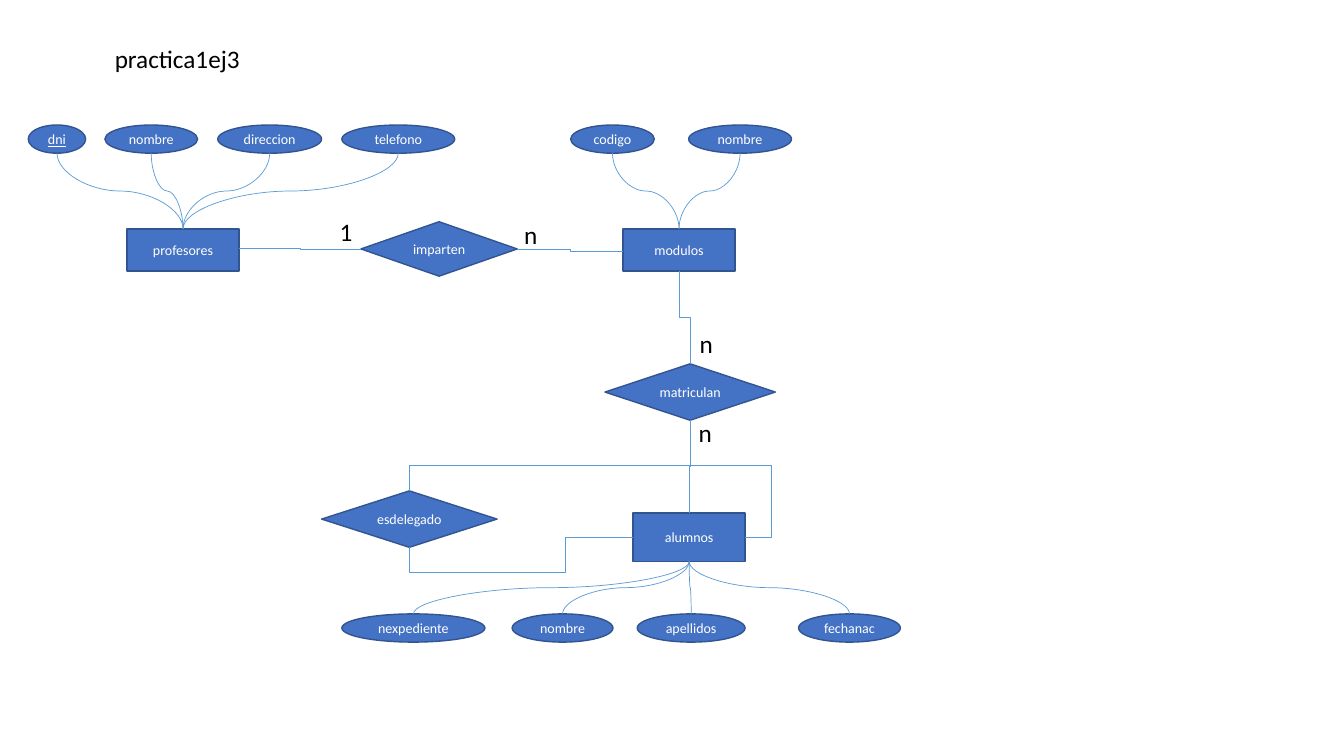
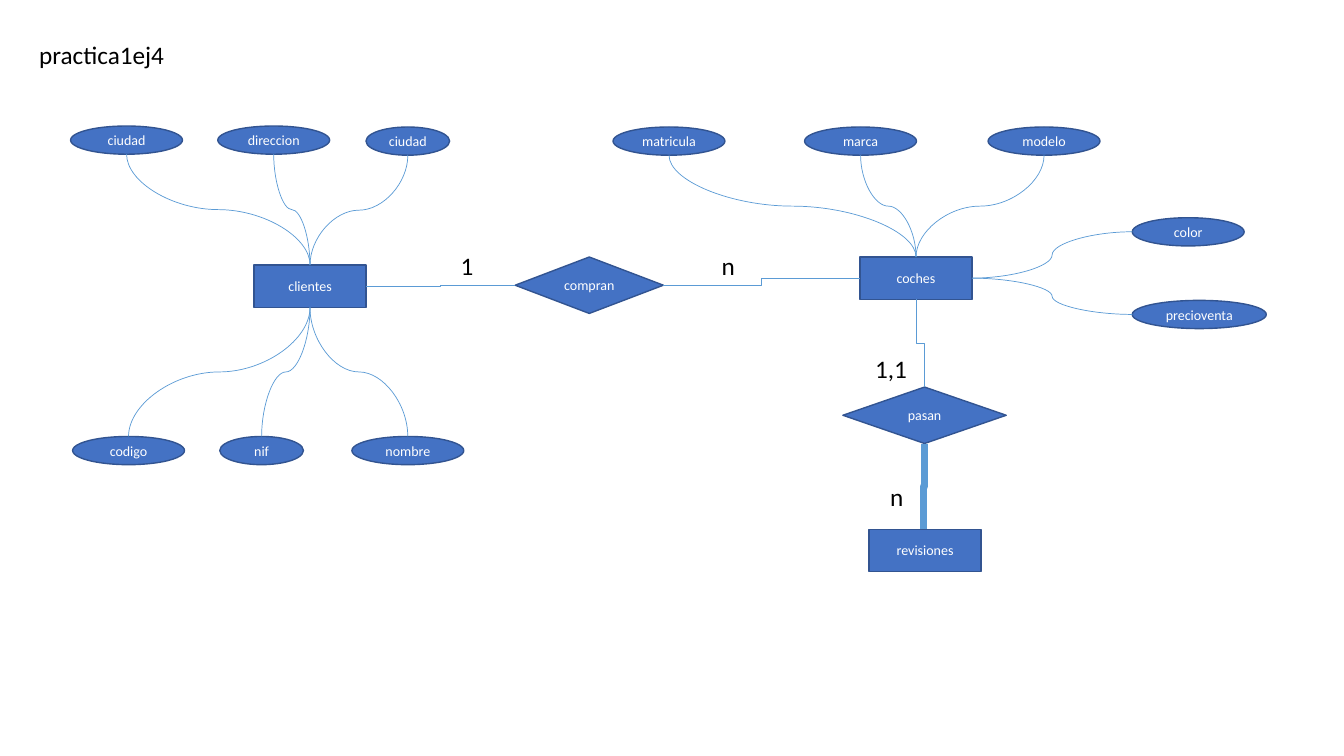
from dataclasses import dataclass
from enum import Enum

from lxml import etree
from pptx import Presentation
from pptx import util as u
from pptx.dml import color
from pptx.enum import shapes, text
from pptx.oxml import ns


# Shared look
@dataclass(frozen=True)
class Theme:
    fill: color.RGBColor = color.RGBColor(0x44, 0x72, 0xC4)
    outline: color.RGBColor = color.RGBColor(0x32, 0x54, 0x91)
    link: color.RGBColor = color.RGBColor(0x5B, 0x9B, 0xD5)
    node_text: color.RGBColor = color.RGBColor(0xFF, 0xFF, 0xFF)
    label_text: color.RGBColor = color.RGBColor(0x00, 0x00, 0x00)
    font: str = "Calibri"
    node_size: int = 10
    label_size: int = 18
    outline_width: float = 1
    link_width: float = 0.5


THEME = Theme()
Point = tuple[float, float]


class Side(Enum):
    TOP = (0.5, 0)
    BOTTOM = (0.5, 1)
    LEFT = (0, 0.5)
    RIGHT = (1, 0.5)

    @property
    def vertical(self) -> bool:
        return self in (Side.TOP, Side.BOTTOM)

    @property
    def opposite(self) -> "Side":
        across, down = self.value
        return Side((1 - across, 1 - down))


# Parts of an entity-relationship diagram
@dataclass(frozen=True)
class Node:
    name: str
    left: float
    top: float
    width: float = 1.11
    height: float = 0.28
    kind: shapes.MSO_SHAPE = shapes.MSO_SHAPE.OVAL
    key: bool = False

    def anchor(self, side: Side) -> Point:
        across, down = side.value
        return self.left + across * self.width, self.top + down * self.height


def entity(name: str, left: float, top: float, height: float = 0.42) -> Node:
    return Node(name, left, top, height=height, kind=shapes.MSO_SHAPE.RECTANGLE)


def relationship(name: str, left: float, top: float, width: float, height: float = 0.56) -> Node:
    return Node(name, left, top, width, height, shapes.MSO_SHAPE.DIAMOND)


@dataclass(frozen=True)
class Attributes:
    owner: Node
    side: Side
    nodes: tuple[Node, ...]


@dataclass(frozen=True)
class Link:
    start: Node
    start_side: Side
    end: Node
    end_side: Side
    shift: float = 0  # moves the end along its side
    width: float = THEME.link_width
    via: Point | None = None  # x and y of the outer corner of a loop


@dataclass(frozen=True)
class Label:
    content: str
    left: float
    top: float
    width: float = 0.34


@dataclass(frozen=True)
class Diagram:
    labels: tuple[Label, ...]
    nodes: tuple[Node, ...]
    attributes: tuple[Attributes, ...]
    links: tuple[Link, ...]


# Drawing
def write(shape, content: str, size: int, ink: color.RGBColor):
    shape.text_frame.word_wrap = False
    paragraph = shape.text_frame.paragraphs[0]
    paragraph.text = content
    paragraph.font.name = THEME.font
    paragraph.font.size = u.Pt(size)
    paragraph.font.color.rgb = ink
    return paragraph


def draw_node(slide, node: Node) -> None:
    box = (u.Inches(n) for n in (node.left, node.top, node.width, node.height))
    shape = slide.shapes.add_shape(node.kind, *box)
    shape.shadow.inherit = False
    shape.fill.solid()
    shape.fill.fore_color.rgb = THEME.fill
    shape.line.color.rgb = THEME.outline
    shape.line.width = u.Pt(THEME.outline_width)
    shape.text_frame.vertical_anchor = text.MSO_ANCHOR.MIDDLE
    paragraph = write(shape, node.name, THEME.node_size, THEME.node_text)
    paragraph.alignment = text.PP_ALIGN.CENTER
    if node.key:
        paragraph.font.underline = True


def draw_label(slide, label: Label) -> None:
    box = (u.Inches(n) for n in (label.left, label.top, label.width, 0.4))
    shape = slide.shapes.add_textbox(*box)
    write(shape, label.content, THEME.label_size, THEME.label_text)
    shape.text_frame.auto_size = text.MSO_AUTO_SIZE.SHAPE_TO_FIT_TEXT


def draw_connector(slide, kind: shapes.MSO_CONNECTOR, start: Point, end: Point, vertical: bool,
                   width: float = THEME.link_width, via: Point | None = None) -> None:
    if via is None:
        start, end = sorted((start, end), key=lambda point: point[1 if vertical else 0])
    (x1, y1), (x2, y2) = start, end
    turn = 0
    if vertical:
        # A connector leaves sideways, so lay it flat and turn it about its centre
        turn = 270 if x2 > x1 and y2 > y1 else 90
        sign = 1 if turn == 90 else -1
        centre_x, centre_y = (x1 + x2) / 2, (y1 + y2) / 2
        half_x, half_y = sign * (y2 - y1) / 2, sign * (x1 - x2) / 2
        x1, x2 = centre_x - half_x, centre_x + half_x
        y1, y2 = centre_y - half_y, centre_y + half_y
    connector = slide.shapes.add_connector(kind, *(u.Inches(n) for n in (x1, y1, x2, y2)))
    connector.line.color.rgb = THEME.link
    connector.line.width = u.Pt(width)
    properties = connector.element.spPr
    etree.SubElement(properties, ns.qn("a:effectLst"))
    if turn:
        properties.find(ns.qn("a:xfrm")).set("rot", str(turn * 60000))
    if via:
        geometry = properties.find(ns.qn("a:prstGeom"))
        geometry.set("prst", "bentConnector4")
        guides = geometry.find(ns.qn("a:avLst"))
        ratios = ((via[1] - start[1]) / (end[1] - start[1]),
                  (via[0] - start[0]) / (end[0] - start[0]))
        for number, ratio in enumerate(ratios, 1):
            etree.SubElement(guides, ns.qn("a:gd"), name=f"adj{number}",
                             fmla=f"val {round(ratio * 100000)}")


def draw_link(slide, link: Link) -> None:
    x, y = link.end.anchor(link.end_side)
    vertical = link.start_side.vertical
    end = (x + link.shift, y) if vertical else (x, y + link.shift)
    draw_connector(slide, shapes.MSO_CONNECTOR.ELBOW, link.start.anchor(link.start_side),
                   end, vertical, link.width, link.via)


def draw_attributes(slide, group: Attributes) -> None:
    for node in group.nodes:
        draw_node(slide, node)
        draw_connector(slide, shapes.MSO_CONNECTOR.CURVE, group.owner.anchor(group.side),
                       node.anchor(group.side.opposite), group.side.vertical)


def draw_diagram(presentation, diagram: Diagram) -> None:
    slide = presentation.slides.add_slide(presentation.slide_layouts[6])
    for node in diagram.nodes:
        draw_node(slide, node)
    for group in diagram.attributes:
        draw_attributes(slide, group)
    for link in diagram.links:
        draw_link(slide, link)
    for label in diagram.labels:
        draw_label(slide, label)


# School: teachers, modules and students
def school() -> Diagram:
    profesores = entity("profesores", 1.26, 2.27)
    modulos = entity("modulos", 6.18, 2.27)
    alumnos = entity("alumnos", 6.28, 5.09, 0.48)
    imparten = relationship("imparten", 3.58, 2.2, 1.55, 0.54)
    matriculan = relationship("matriculan", 6, 3.61, 1.69)
    esdelegado = relationship("esdelegado", 3.19, 4.87, 1.74)
    return Diagram(
        labels=(Label("practica1ej3", 1.04, 0.38, 1.46), Label("1", 3.27, 2.1),
                Label("n", 5.1, 2.13), Label("n", 6.84, 3.21), Label("n", 6.83, 4.09)),
        nodes=(profesores, modulos, alumnos, imparten, matriculan, esdelegado),
        attributes=(
            Attributes(profesores, Side.TOP, (
                Node("dni", 0.28, 1.24, 0.57, key=True), Node("nombre", 1.04, 1.24, 0.92),
                Node("direccion", 2.16, 1.24, 1.03), Node("telefono", 3.39, 1.24, 1.12))),
            Attributes(modulos, Side.TOP, (
                Node("codigo", 5.66, 1.24, 0.83), Node("nombre", 6.83, 1.24, 1.02))),
            Attributes(alumnos, Side.BOTTOM, (
                Node("nexpediente", 3.39, 6.09, 1.42), Node("nombre", 5.08, 6.09, 1),
                Node("apellidos", 6.32, 6.09, 1.07), Node("fechanac", 7.92, 6.09, 1.01))),
        ),
        links=(
            Link(imparten, Side.LEFT, profesores, Side.RIGHT, shift=-0.02),
            Link(imparten, Side.RIGHT, modulos, Side.LEFT, shift=0.01),
            Link(modulos, Side.BOTTOM, matriculan, Side.TOP),
            Link(matriculan, Side.BOTTOM, alumnos, Side.TOP),
            Link(esdelegado, Side.BOTTOM, alumnos, Side.LEFT, via=(5.61, 5.68)),
            Link(esdelegado, Side.TOP, alumnos, Side.RIGHT, via=(7.65, 4.62)),
        ),
    )


# Car dealer: customers, cars and services
def dealer() -> Diagram:
    clientes = entity("clientes", 2.52, 2.63)
    coches = entity("coches", 8.53, 2.55)
    revisiones = entity("revisiones", 8.62, 5.25)
    compran = relationship("compran", 5.11, 2.55, 1.47)
    pasan = relationship("pasan", 8.36, 3.84, 1.62)
    return Diagram(
        labels=(Label("practica1ej4", 0.29, 0.34, 1.46), Label("1", 4.47, 2.43),
                Label("n", 7.06, 2.43), Label("1,1", 8.58, 3.46, 0.52), Label("n", 8.73, 4.73)),
        nodes=(clientes, coches, revisiones, compran, pasan),
        attributes=(
            Attributes(clientes, Side.TOP, (
                Node("ciudad", 0.7, 1.25), Node("direccion", 2.16, 1.25),
                Node("ciudad", 3.63, 1.26, 0.83))),
            Attributes(clientes, Side.BOTTOM, (
                Node("codigo", 0.72, 4.33), Node("nif", 2.18, 4.33, 0.83),
                Node("nombre", 3.49, 4.33))),
            Attributes(coches, Side.TOP, (
                Node("matricula", 6.08, 1.26), Node("marca", 7.98, 1.26),
                Node("modelo", 9.8, 1.26))),
            Attributes(coches, Side.RIGHT, (
                Node("color", 11.23, 2.16), Node("precioventa", 11.23, 2.98, 1.33))),
        ),
        links=(
            Link(clientes, Side.RIGHT, compran, Side.LEFT),
            Link(compran, Side.RIGHT, coches, Side.LEFT),
            Link(coches, Side.BOTTOM, pasan, Side.TOP),
            Link(pasan, Side.BOTTOM, revisiones, Side.TOP, shift=-0.02, width=5),
        ),
    )


def main() -> None:
    presentation = Presentation()
    presentation.slide_width = u.Inches(13.33)
    presentation.slide_height = u.Inches(7.5)
    for diagram in (school(), dealer()):
        draw_diagram(presentation, diagram)
    presentation.save("out.pptx")


if __name__ == "__main__":
    main()
